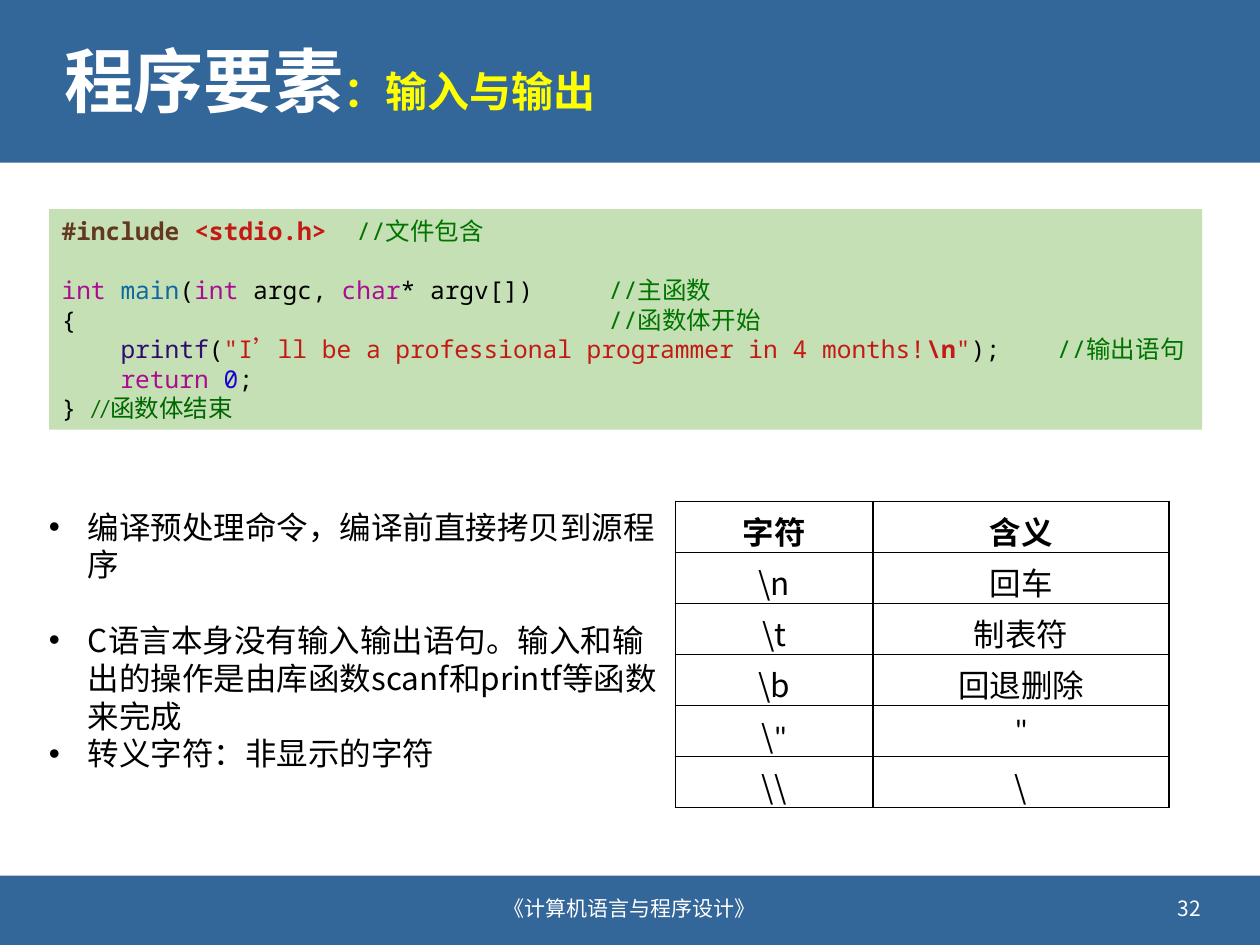
import collections

import lxml.etree
import pptx
import pptx.dml.color
import pptx.enum.shapes
import pptx.enum.text
import pptx.oxml.ns
import pptx.util

Box = collections.namedtuple("Box", "left top width height")
ALIGN = pptx.enum.text.PP_ALIGN
ANCHOR = pptx.enum.text.MSO_ANCHOR
SANS, MONO, LATIN = "Noto Sans CJK SC", "Noto Sans Mono", "Calibri"
COLORS = {
    "band": "336699", "white": "FFFFFF", "black": "000000", "accent": "FFFF00",
    "code_back": "C5E0B4", "directive": "643820", "string": "C41A16",
    "comment": "007400", "end_comment": "006600", "keyword": "AA0D91",
    "function": "0F68A0", "library": "2E0D6E", "number": "1C00CF",
}
COLUMNS, ROWS = 100, 75
SLIDE_WIDTH, SLIDE_HEIGHT = pptx.util.Inches(10), pptx.util.Inches(7.5)
SINGLE_LINE = 1.2

CODE_LINES = [
    (2.34, 0, [("#include ", "directive", True), ("<stdio.h>", "string", True),
               ("\t//文件包含", "comment")]),
    (4.34, 1, [("int ", "keyword"), ("main", "function"), ("(", "black"),
               ("int ", "keyword"), ("argc, ", "black"), ("char", "keyword"),
               ("* argv[])", "black"), ("\t//主函数", "comment")]),
    (4.34, 0, [("{", "black"), ("\t//函数体开始", "comment")]),
    (7.9, 0, [("    ", "black"), ("printf", "library"), ("(", "black"),
              ("\"I’ll be a professional programmer in 4 months!", "string"),
              ("\\n", "string", True), ("\"", "string"), (");", "black"),
              ("\t//输出语句", "comment")]),
    (None, 0, [("    ", "black"), ("return ", "keyword"), ("0", "number"), (";", "black")]),
    (None, 0, [("} ", "black"), ("//函数体结束", "end_comment", False, LATIN)]),
]
NOTES = [
    ("编译预处理命令，编译前直接拷贝到源程序", 0),
    ("C语言本身没有输入输出语句。输入和输出的操作是由库函数scanf和printf等函数来完成", 1),
    ("转义字符：非显示的字符", 0),
]
ESCAPES = [("字符", "含义"), ("\\n", "回车"), ("\\t", "制表符"),
           ("\\b", "回退删除"), ("\\\"", "\""), ("\\\\", "\\")]


def color(name):
    """Return the named colour."""
    return pptx.dml.color.RGBColor.from_string(COLORS[name])


def place(box):
    """Turn a box in grid columns and rows into slide lengths."""
    column, row = SLIDE_WIDTH / COLUMNS, SLIDE_HEIGHT / ROWS
    return [int(value * unit) for value, unit in zip(box, (column, row, column, row))]


def add_run(paragraph, text, size, color_name, bold=False, font=SANS):
    """Append a formatted run with its East Asian font."""
    run = paragraph.add_run()
    run.text = text
    run.font.name, run.font.size, run.font.bold = font, pptx.util.Pt(size), bold
    run.font.color.rgb = color(color_name)
    east_asian = lxml.etree.Element(pptx.oxml.ns.qn("a:ea"), typeface=SANS)
    run.font._element.find(pptx.oxml.ns.qn("a:latin")).addnext(east_asian)


def add_block(slide, box, fill):
    """Add a plain filled rectangle."""
    shape = slide.shapes.add_shape(pptx.enum.shapes.MSO_SHAPE.RECTANGLE, *place(box))
    shape.shadow.inherit = False
    shape.fill.solid()
    shape.fill.fore_color.rgb = color(fill)
    shape.line.fill.background()
    return shape


def add_text(slide, box, alignment=ALIGN.LEFT):
    """Add a wrapped, vertically centred text box and return its paragraph."""
    frame = slide.shapes.add_textbox(*place(box)).text_frame
    frame.word_wrap = True
    frame.vertical_anchor = ANCHOR.MIDDLE
    frame.paragraphs[0].alignment = alignment
    return frame.paragraphs[0]


def next_paragraph(frame, index, size, lines_before):
    """Return a left-aligned paragraph on a fixed line pitch."""
    paragraph = frame.add_paragraph() if index else frame.paragraphs[0]
    pitch = pptx.util.Pt(size * SINGLE_LINE)
    paragraph.alignment = ALIGN.LEFT
    paragraph.line_spacing = pitch
    if lines_before:
        paragraph.space_before = pitch * lines_before
    return paragraph


def add_header(slide, box):
    """Draw the title band."""
    add_block(slide, box, "band")
    title = add_text(slide, Box(box.left + 4.1, box.top + 1.8, box.width - 8.1, box.height - 3))
    title.line_spacing = 0.9
    add_run(title, "程序要素", 40, "white", True)
    add_run(title, "：输入与输出", 24, "accent", True)


def add_footer(slide, box):
    """Draw the footer band with course name and page number."""
    add_block(slide, box, "band")
    top = box.top + 0.6
    course = add_text(slide, Box(box.left + 32, top, 36, 4), ALIGN.CENTER)
    add_run(course, "《计算机语言与程序设计》", 12, "white")
    number = add_text(slide, Box(box.left + 72.3, top, 24, 4), ALIGN.RIGHT)
    add_run(number, "32", 12, "white")


def add_code(slide, box):
    """Draw the highlighted program with comments on tab stops."""
    frame = add_block(slide, box, "code_back").text_frame
    frame.word_wrap = False
    frame.vertical_anchor = ANCHOR.MIDDLE
    for index, (tab, lines_before, parts) in enumerate(CODE_LINES):
        paragraph = next_paragraph(frame, index, 14, lines_before)
        if tab:
            tabs = lxml.etree.SubElement(
                paragraph._p.get_or_add_pPr(), pptx.oxml.ns.qn("a:tabLst"))
            lxml.etree.SubElement(tabs, pptx.oxml.ns.qn("a:tab"),
                                  pos=str(pptx.util.Inches(tab)), algn="l")
        for text, color_name, *style in parts:
            bold, font = (style + [False, MONO][len(style):])
            add_run(paragraph, text, 14, color_name, bold, font)


def add_notes(slide, box):
    """Draw the bulleted remarks."""
    frame = add_block(slide, box, "white").text_frame
    frame.word_wrap = True
    frame.vertical_anchor = ANCHOR.TOP
    indent = pptx.util.Inches(0.31)
    for index, (text, lines_before) in enumerate(NOTES):
        paragraph = next_paragraph(frame, index, 18, lines_before)
        properties = paragraph._p.get_or_add_pPr()
        properties.set("marL", str(indent))
        properties.set("indent", str(-indent))
        lxml.etree.SubElement(properties, pptx.oxml.ns.qn("a:buFont"), typeface="Arial")
        lxml.etree.SubElement(properties, pptx.oxml.ns.qn("a:buChar"), char="•")
        add_run(paragraph, text, 18, "black")


def style_cell(cell):
    """Give a cell a white fill and thin black borders."""
    properties = cell._tc.get_or_add_tcPr()
    for side in ("a:lnL", "a:lnR", "a:lnT", "a:lnB"):
        line = lxml.etree.SubElement(
            properties, pptx.oxml.ns.qn(side), w=str(pptx.util.Pt(1)))
        fill = lxml.etree.SubElement(line, pptx.oxml.ns.qn("a:solidFill"))
        lxml.etree.SubElement(fill, pptx.oxml.ns.qn("a:srgbClr"), val=COLORS["black"])
    cell.fill.solid()
    cell.fill.fore_color.rgb = color("white")


def add_escapes(slide, box):
    """Draw the table of escape characters."""
    table = slide.shapes.add_table(len(ESCAPES), 2, *place(box)).table
    width = place(box)[2]
    table.columns[0].width = int(width * 0.4)
    table.columns[1].width = width - table.columns[0].width
    for row, texts in enumerate(ESCAPES):
        for column, text in enumerate(texts):
            cell = table.cell(row, column)
            style_cell(cell)
            paragraph = cell.text_frame.paragraphs[0]
            paragraph.alignment = ALIGN.CENTER
            before, quote, _ = text.partition("\"")
            for part, font in ((before, SANS), (quote, LATIN)):
                if part:
                    add_run(paragraph, part, 18, "black", row == 0, font)


def main():
    """Build and save the slide."""
    presentation = pptx.Presentation()
    presentation.slide_width, presentation.slide_height = SLIDE_WIDTH, SLIDE_HEIGHT
    slide = presentation.slides.add_slide(presentation.slide_layouts[6])
    add_header(slide, Box(0, 0, COLUMNS, 12.9))
    add_footer(slide, Box(0, 69.5, COLUMNS, 5.5))
    add_notes(slide, Box(2.9, 39.8, 50.3, 23.3))
    add_escapes(slide, Box(53.6, 39.8, 39.2, 24.3))
    add_code(slide, Box(3.9, 16.6, 91.5, 17.5))
    presentation.save("out.pptx")


if __name__ == "__main__":
    main()
